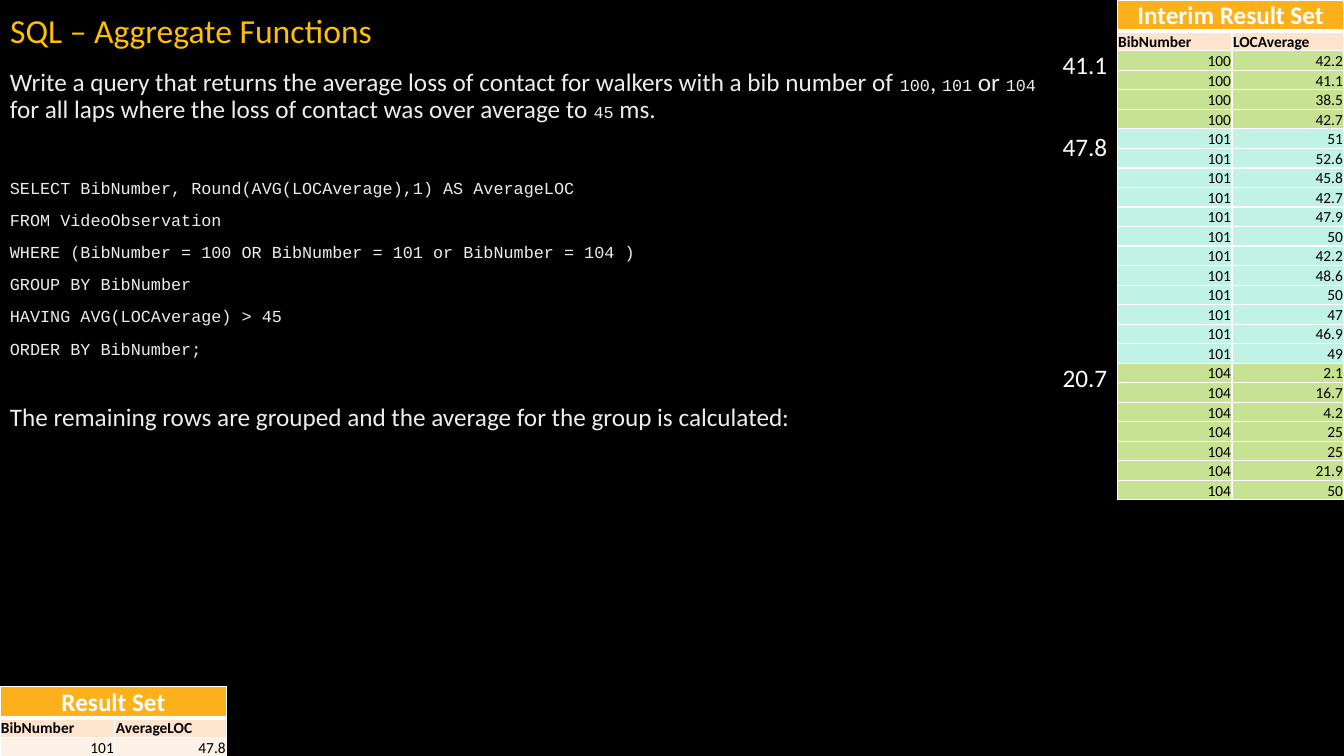
from lxml.etree import SubElement
from pptx import Presentation
from pptx.dml.color import RGBColor as RGB
from pptx.enum.text import MSO_ANCHOR as Anchor, MSO_AUTO_SIZE as Fit, PP_ALIGN as Align
from pptx.oxml.ns import qn
from pptx.util import Inches, Pt

WIDE, HIGH = Inches(13.33), Inches(7.5)
BLACK, WHITE = RGB(0, 0, 0), RGB(255, 255, 255)
GOLD, PALE = RGB(0xFF, 0xC0, 0x00), RGB(0xED, 0xED, 0xED)
ORANGE, PEACH, CREAM = RGB(0xFC, 0xB1, 0x1C), RGB(0xFE, 0xE4, 0xCD), RGB(0xFE, 0xF2, 0xE8)
GREEN, AQUA = RGB(0xC7, 0xE2, 0x92), RGB(0xC1, 0xF2, 0xE6)
SANS, MONO = "Calibri", "Courier New"

# Shares of the slide, in percent
COLS = (8.55, 8.33)
HEAD, ROW = 4.13, 2.53
SIDE = 100 - sum(COLS)
TITLE = 8.53
TAG = 8.18

LOSS = (
    ("100", GREEN, "42.2 41.1 38.5 42.7"),
    ("101", AQUA, "51 52.6 45.8 42.7 47.9 50 42.2 48.6 50 47 46.9 49"),
    ("104", GREEN, "2.1 16.7 4.2 25 25 21.9 50"),
)
TASK = (
    ("Write a query that returns the average loss of contact for walkers with a bib number of ", "100"),
    (", ", "101"),
    (" or ", "104"),
    (" for all laps where the loss of contact was over average to ", "45"),
    (" ms.", ""),
)
QUERY = (
    "SELECT BibNumber, Round(AVG(LOCAverage),1) AS AverageLOC",
    "FROM VideoObservation",
    "WHERE (BibNumber = 100 OR BibNumber = 101 or BibNumber = 104 )",
    "GROUP BY BibNumber",
    "HAVING AVG(LOCAverage) > 45",
    "ORDER BY BibNumber;",
)


def across(share):
    return round(WIDE * share / 100)


def down(share):
    return round(HIGH * share / 100)


def place(left, top, width, height):
    return across(left), down(top), across(width), down(height)


def write(para, text, size=18, font=SANS, color=WHITE, bold=False, align=Align.LEFT):
    para.alignment = align
    run = para.add_run()
    run.text = text
    face = run.font
    face.size, face.name, face.bold = Pt(size), font, bold
    face.color.rgb = color


def add_box(slide, *area):
    frame = slide.shapes.add_textbox(*place(*area)).text_frame
    frame.word_wrap = True
    return frame


def add_title(slide, text):
    title = slide.shapes.title
    title.left, title.top, title.width, title.height = place(0, 0, 100, TITLE)
    frame = title.text_frame
    frame.auto_size, frame.vertical_anchor = Fit.NONE, Anchor.MIDDLE
    para = frame.paragraphs[0]
    para.line_spacing = 0.9
    write(para, text, size=24, color=GOLD)


def add_body(slide):
    frame = add_box(slide, 0, TITLE, 78.62, 50)

    def space(para, before):
        para.line_spacing, para.space_before = 0.9, Pt(before)
        return para

    para = space(frame.paragraphs[0], 0)
    for words, code in TASK:
        write(para, words, color=PALE)
        if code:
            write(para, code, size=12, font=MONO, color=PALE)
    for i, line in enumerate(QUERY):
        para = space(frame.add_paragraph(), 10 if i else 40)
        write(para, line, size=12, font=MONO, color=PALE)
    para = space(frame.add_paragraph(), 33)
    write(para, "The remaining rows are grouped and the average for the group is calculated:", color=PALE)


def add_tag(slide, text, top):
    frame = add_box(slide, SIDE - TAG, top, TAG, 5.33)
    write(frame.paragraphs[0], text, align=Align.RIGHT)


def edge(cell, base):
    """Draw white cell borders, the bottom one base points wide."""
    props = cell._tc.get_or_add_tcPr()
    for side, width in (("L", 1), ("R", 1), ("T", 1), ("B", base)):
        line = SubElement(props, qn(f"a:ln{side}"), w=str(Pt(width)))
        fill = SubElement(line, qn("a:solidFill"))
        SubElement(fill, qn("a:srgbClr"), val=str(WHITE))


def set_cell(cell, text, fill, base=1, **style):
    edge(cell, base)
    cell.fill.solid()
    cell.fill.fore_color.rgb = fill
    cell.margin_left = cell.margin_right = cell.margin_top = Inches(0.01)
    cell.margin_bottom = 0
    cell.vertical_anchor = Anchor.BOTTOM
    if text:
        write(cell.text_frame.paragraphs[0], text, **style)


def add_grid(slide, left, top, title, names, rows):
    """Add a titled table; each row is a fill and its values."""
    area = place(left, top, sum(COLS), HEAD + ROW * (len(rows) + 1))
    grid = slide.shapes.add_table(len(rows) + 2, len(COLS), *area).table
    grid.first_row = grid.horz_banding = False
    for col, share in zip(grid.columns, COLS):
        col.width = across(share)
    for i, row in enumerate(grid.rows):
        row.height = down(ROW if i else HEAD)
    grid.cell(0, 0).merge(grid.cell(0, 1))
    for c, name in enumerate(names):
        set_cell(grid.cell(0, c), "" if c else title, ORANGE, base=3, bold=True, align=Align.CENTER)
        set_cell(grid.cell(1, c), name, PEACH, size=11, color=BLACK, bold=True)
        for r, (fill, values) in enumerate(rows, 2):
            set_cell(grid.cell(r, c), values[c], fill, size=11, color=BLACK, align=Align.RIGHT)


def main():
    deck = Presentation()
    deck.slide_width, deck.slide_height = WIDE, HIGH
    slide = deck.slides.add_slide(deck.slide_layouts[5])
    slide.background.fill.solid()
    slide.background.fill.fore_color.rgb = BLACK

    add_title(slide, "SQL – Aggregate Functions")
    add_body(slide)
    laps = [(fill, (bib, loss)) for bib, fill, group in LOSS for loss in group.split()]
    add_grid(slide, SIDE, 0, "Interim Result Set", ("BibNumber", "LOCAverage"), laps)
    for text, top in (("41.1", 5.87), ("47.8", 16.67), ("20.7", 47.33)):
        add_tag(slide, text, top)
    add_grid(slide, 0, 100 - HEAD - 2 * ROW, "Result Set", ("BibNumber", "AverageLOC"),
             [(CREAM, ("101", "47.8"))])
    deck.save("out.pptx")


if __name__ == "__main__":
    main()
